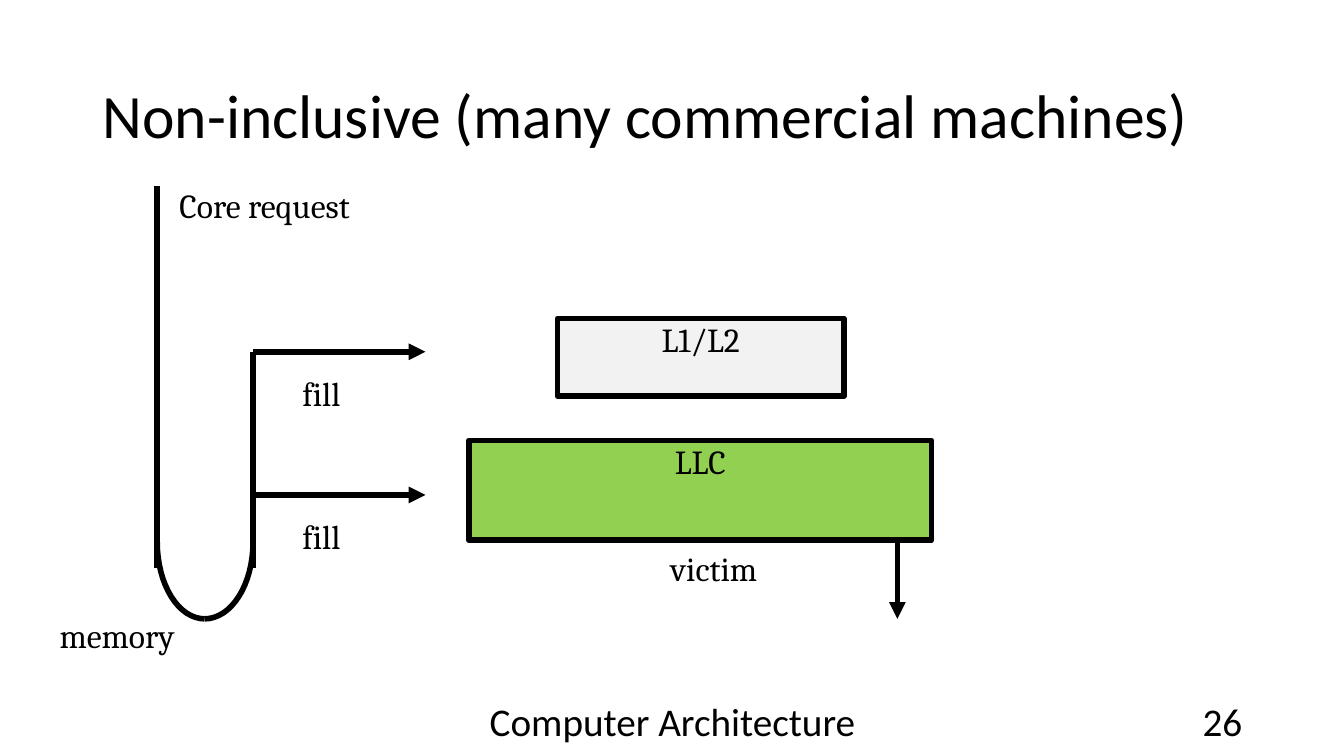
from math import cos, pi, sin

from lxml.etree import SubElement
from pptx import Presentation
from pptx.dml.color import RGBColor
from pptx.enum.shapes import MSO_CONNECTOR, MSO_SHAPE
from pptx.enum.text import MSO_ANCHOR, PP_ALIGN
from pptx.oxml.ns import qn
from pptx.util import Inches, Pt

BLACK = "000000"
STROKE = 4
REQUEST_X, FILL_X = 1.56, 2.51
TURN_X, TURN_Y = 2.03, 5.38
TURN_DEPTH = 0.76


def color(value):
    """Turn a hex string into a colour."""
    return RGBColor.from_string(value)


def style_line(line):
    """Give a line the heavy black stroke of the diagram."""
    line.color.rgb = color(BLACK)
    line.width = Pt(STROKE)


def write(para, text, size, font):
    """Add one run to a paragraph."""
    span = para.add_run()
    span.text = text
    span.font.size = Pt(size)
    span.font.name = font
    span.font.color.rgb = color(BLACK)


def clear_margins(frame):
    """Set all four text insets to zero."""
    frame.margin_left = frame.margin_right = 0
    frame.margin_top = frame.margin_bottom = 0


def add_heading(page, text, area, size, align=PP_ALIGN.LEFT):
    """Add a vertically centred Calibri text box."""
    frame = page.shapes.add_textbox(*map(Inches, area)).text_frame
    frame.word_wrap = True
    frame.vertical_anchor = MSO_ANCHOR.MIDDLE
    para = frame.paragraphs[0]
    para.alignment = align
    write(para, text, size, "Calibri")


def add_label(page, text, area):
    """Add a Cambria label without insets and return its frame."""
    frame = page.shapes.add_textbox(*map(Inches, area)).text_frame
    frame.word_wrap = True
    clear_margins(frame)
    write(frame.paragraphs[0], text, 24, "Cambria")
    return frame


def add_cache(page, name, area, fill):
    """Add a cache level as a filled rectangle."""
    box = page.shapes.add_shape(MSO_SHAPE.RECTANGLE, *map(Inches, area))
    box.shadow.inherit = False
    box.fill.solid()
    box.fill.fore_color.rgb = color(fill)
    style_line(box.line)
    frame = box.text_frame
    clear_margins(frame)
    frame.vertical_anchor = MSO_ANCHOR.TOP
    para = frame.paragraphs[0]
    para.alignment = PP_ALIGN.CENTER
    write(para, name, 24, "Cambria")


def add_route(page, start, end, arrow=False):
    """Add a straight line, with an arrowhead at its end if wanted."""
    route = page.shapes.add_connector(
        MSO_CONNECTOR.STRAIGHT, *map(Inches, start + end))
    style_line(route.line)
    properties = route.element.spPr
    if arrow:
        SubElement(properties.get_or_add_ln(), qn("a:tailEnd"),
                   type="triangle", w="med", len="med")
    SubElement(properties, qn("a:effectLst"))


def add_turn(page, side_x):
    """Add the quarter curve from the bottom of the turn up to one side."""
    steps = 16
    angles = [pi / 2 * step / steps for step in range(steps + 1)]
    points = [(Inches(TURN_X + (side_x - TURN_X) * sin(angle)),
               Inches(TURN_Y + TURN_DEPTH * cos(angle))) for angle in angles]
    builder = page.shapes.build_freeform(*points[0], scale=1.0)
    builder.add_line_segments(points[1:], close=False)
    curve = builder.convert_to_shape()
    curve.shadow.inherit = False
    curve.fill.background()
    style_line(curve.line)


def main():
    """Build the non-inclusive cache slide."""
    deck = Presentation()
    deck.slide_width, deck.slide_height = Inches(13.33), Inches(7.5)
    page = deck.slides.add_slide(deck.slide_layouts[6])

    add_heading(page, "Non-inclusive (many commercial machines)",
                (0.92, 0.4, 11.5, 1.45), 44)
    add_heading(page, "Computer Architecture", (4.42, 6.95, 4.5, 0.4), 28,
                PP_ALIGN.CENTER)
    add_heading(page, "26", (9.42, 6.95, 3, 0.4), 28, PP_ALIGN.RIGHT)

    add_cache(page, "L1/L2", (5.53, 3.16, 2.84, 0.77), "F2F2F2")
    add_cache(page, "LLC", (4.65, 4.37, 4.59, 0.99), "91D050")

    for side_x, top in ((REQUEST_X, 1.85), (FILL_X, 3.49)):
        add_route(page, (side_x, 5.64), (side_x, top))
        add_turn(page, side_x)
    for fill_y in (4.91, 3.49):
        add_route(page, (FILL_X, fill_y), (4.22, fill_y), arrow=True)
        add_label(page, "fill", (3, fill_y + 0.21, 0.4, 0.36))
    add_route(page, (8.9, 5.35), (8.9, 6.14), arrow=True)

    add_label(page, "Core request", (1.78, 1.83, 1.84, 0.36))
    frame = add_label(page, "victim", (0.59, 5.44, 6.92, 1.02))
    frame.paragraphs[0].alignment = PP_ALIGN.RIGHT
    memory = frame.add_paragraph()
    memory.space_before = Pt(18.4)
    write(memory, "memory", 24, "Cambria")

    deck.save("out.pptx")


if __name__ == "__main__":
    main()
